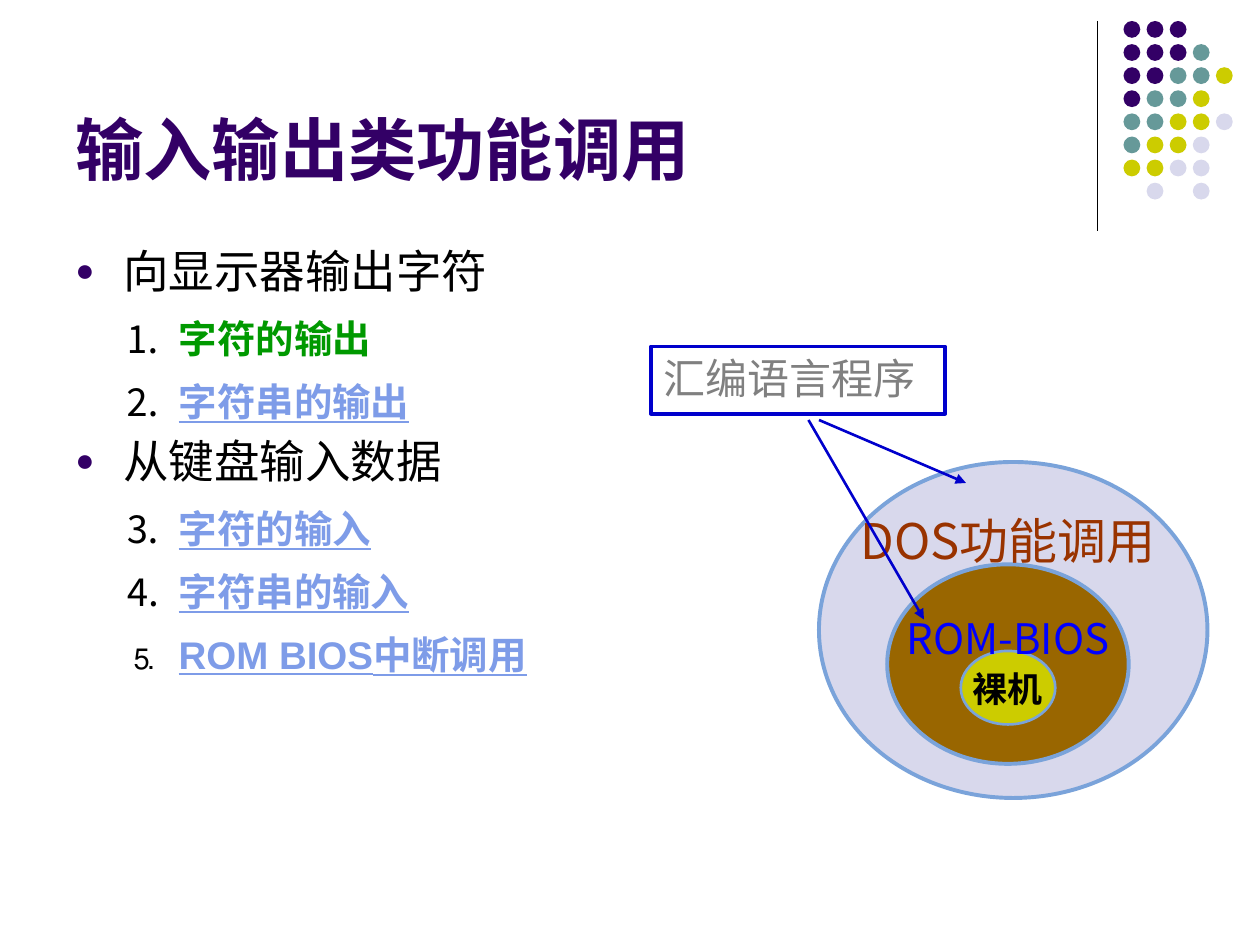
from dataclasses import dataclass

from lxml.etree import SubElement
from pptx import Presentation
from pptx.dml.color import RGBColor
from pptx.enum.shapes import MSO_CONNECTOR, MSO_SHAPE
from pptx.enum.text import MSO_ANCHOR, PP_ALIGN
from pptx.oxml.ns import qn
from pptx.util import Inches, Pt

COLUMNS, ROWS = 120, 90
SLIDE_WIDTH, SLIDE_HEIGHT = Inches(10), Inches(7.5)


@dataclass(frozen=True)
class Theme:
    latin: str = "Arial"
    serif: str = "Times New Roman"
    cjk: str = "Noto Sans CJK SC"
    purple: str = "330066"
    teal: str = "669999"
    yellow: str = "CCCC00"
    lavender: str = "D8D8EC"
    brown: str = "996600"
    rust: str = "993300"
    rim: str = "7AA3DA"
    arrow: str = "0000CC"
    blue: str = "0000FF"
    green: str = "009900"
    link: str = "7E9CE8"
    grey: str = "808080"
    black: str = "000000"
    title_size: float = 39
    topic_size: float = 26
    item_size: float = 22
    core_size: float = 20
    label_size: float = 24
    dos_size: float = 28


@dataclass(frozen=True)
class Box:
    left: float
    top: float
    width: float
    height: float

    def point(self, column, row):
        return (int((self.left + column) * SLIDE_WIDTH / COLUMNS),
                int((self.top + row) * SLIDE_HEIGHT / ROWS))

    def area(self, column, row, width, height):
        return (*self.point(column, row),
                int(width * SLIDE_WIDTH / COLUMNS),
                int(height * SLIDE_HEIGHT / ROWS))

    def whole(self):
        return self.area(0, 0, self.width, self.height)


THEME = Theme()


def apply_format(target, values):
    for attribute, value in values.items():
        setattr(target, attribute, value)


def add_run(paragraph, wording, color, size, face=THEME.latin, outlined=False, **style):
    run = paragraph.add_run()
    run.text = wording
    apply_format(run.font, {"name": face, "size": Pt(size), **style})
    run.font.color.rgb = RGBColor.from_string(color)
    properties = run.font._element
    SubElement(properties, qn("a:ea"), typeface=THEME.cjk)
    if outlined:
        outline = SubElement(properties, qn("a:ln"), w=str(Pt(0.75)))
        fill = SubElement(outline, qn("a:solidFill"))
        SubElement(fill, qn("a:srgbClr"), val=color)
        properties.insert(0, outline)


def add_label(slide, area, wording, color, size, anchor=MSO_ANCHOR.TOP,
              align=PP_ALIGN.LEFT, **style):
    label = slide.shapes.add_textbox(*area)
    apply_format(label.text_frame, {"word_wrap": True, "vertical_anchor": anchor})
    paragraph = label.text_frame.paragraphs[0]
    paragraph.alignment = align
    add_run(paragraph, wording, color, size, **style)
    return label


def add_ellipse(slide, area, color, rim_width=0):
    ellipse = slide.shapes.add_shape(MSO_SHAPE.OVAL, *area)
    ellipse.shadow.inherit = False
    ellipse.fill.solid()
    ellipse.fill.fore_color.rgb = RGBColor.from_string(color)
    if rim_width:
        ellipse.line.color.rgb = RGBColor.from_string(THEME.rim)
        ellipse.line.width = Pt(rim_width)
    else:
        ellipse.line.fill.background()


def add_line(slide, start, end, color, width, arrow=False):
    connector = slide.shapes.add_connector(MSO_CONNECTOR.STRAIGHT, *start, *end)
    connector.line.color.rgb = RGBColor.from_string(color)
    connector.line.width = Pt(width)
    properties = connector._element.spPr
    if arrow:
        SubElement(properties.find(qn("a:ln")), qn("a:tailEnd"), type="triangle")
    SubElement(properties, qn("a:effectLst"))


def draw_ornament(slide, box):
    add_line(slide, box.point(0, 0), box.point(0, box.height), THEME.black, 0.75)
    colors = {"P": THEME.purple, "T": THEME.teal, "Y": THEME.yellow, "L": THEME.lavender}
    pattern = ("PPP", "PPPT", "PPTTY", "PTTY", "TTYYL", "TYYL", "YYLL", ".L.L")
    pitch, dot, inset = 2.2, 1.6, 2.5
    for row, letters in enumerate(pattern):
        for column, letter in enumerate(letters):
            if letter in colors:
                area = box.area(inset + column * pitch, row * pitch, dot, dot)
                add_ellipse(slide, area, colors[letter])


def draw_title(slide, box):
    add_label(slide, box.whole(), "输入输出类功能调用", THEME.purple, THEME.title_size,
              anchor=MSO_ANCHOR.BOTTOM, bold=True)


def indent_paragraph(paragraph, margin, hanging):
    properties = paragraph._p.get_or_add_pPr()
    properties.set("marL", str(Inches(margin)))
    properties.set("indent", str(-Inches(hanging)))
    return properties


def add_topic(paragraph, wording):
    properties = indent_paragraph(paragraph, 0.38, 0.38)
    bullet_color = SubElement(properties, qn("a:buClr"))
    SubElement(bullet_color, qn("a:srgbClr"), val=THEME.purple)
    SubElement(properties, qn("a:buSzPct"), val="70000")
    SubElement(properties, qn("a:buFont"), typeface=THEME.latin)
    SubElement(properties, qn("a:buChar"), char="●")
    add_run(paragraph, wording, THEME.black, THEME.topic_size)


def add_item(paragraph, number, wording, current):
    indent_paragraph(paragraph, 0.82, 0.44)
    paragraph.line_spacing = 1.2
    add_run(paragraph, number + "\t", THEME.black, THEME.item_size)
    add_run(paragraph, wording, THEME.green if current else THEME.link,
            THEME.item_size, bold=True, underline=not current)


def draw_outline(slide, box):
    topics = {
        "向显示器输出字符": (("⒈", "字符的输出"), ("⒉", "字符串的输出")),
        "从键盘输入数据": (("⒊", "字符的输入"), ("⒋", "字符串的输入"),
                    ("⒌", "ROM BIOS中断调用")),
    }
    frame = slide.shapes.add_textbox(*box.whole()).text_frame
    frame.word_wrap = True
    for position, (topic, items) in enumerate(topics.items()):
        paragraph = frame.add_paragraph() if position else frame.paragraphs[0]
        if position:
            paragraph.space_before = Pt(0.2 * THEME.topic_size)
        add_topic(paragraph, topic)
        for number, wording in items:
            paragraph = frame.add_paragraph()
            paragraph.space_before = Pt(0.2 * THEME.item_size)
            add_item(paragraph, number, wording, number == "⒈")


def draw_layers(slide, box):
    for area, color, rim_width in (
        ((16, 11, 37, 32), THEME.lavender, 2.25),
        ((22.5, 20.75, 23, 19), THEME.brown, 2.25),
        ((29.5, 29, 9, 7), THEME.yellow, 1.5),
    ):
        add_ellipse(slide, box.area(*area), color, rim_width)

    add_label(slide, box.area(27.5, 30, 13, 5.2), "裸机", THEME.black, THEME.core_size,
              align=PP_ALIGN.CENTER, face=THEME.serif, bold=True)
    for area, wording, color, size in (
        ((21, 24.75, 26, 8), "ROM-BIOS", THEME.blue, THEME.label_size),
        ((16, 15, 36, 11), "DOS功能调用", THEME.rust, THEME.dos_size),
    ):
        add_label(slide, box.area(*area), wording, color, size,
                  align=PP_ALIGN.CENTER, face=THEME.cjk, outlined=True)

    program = add_label(slide, box.area(0, 0, 28, 6.4), "汇编语言程序", THEME.grey,
                        THEME.label_size, face=THEME.serif)
    program.line.color.rgb = RGBColor.from_string(THEME.arrow)
    program.line.width = Pt(2.25)
    for start, end in (((16, 7), (30, 13)), ((15, 7), (26, 26))):
        add_line(slide, box.point(*start), box.point(*end), THEME.arrow, 1.5, arrow=True)


def main():
    deck = Presentation()
    apply_format(deck, {"slide_width": SLIDE_WIDTH, "slide_height": SLIDE_HEIGHT})
    slide = deck.slides.add_slide(deck.slide_layouts[6])
    draw_ornament(slide, Box(104.5, 2, 13, 20))
    draw_title(slide, Box(6, 1.6, 99, 17))
    draw_outline(slide, Box(6, 22.6, 69, 57.8))
    draw_layers(slide, Box(62, 33, 53, 43))
    deck.save("out.pptx")


if __name__ == "__main__":
    main()
